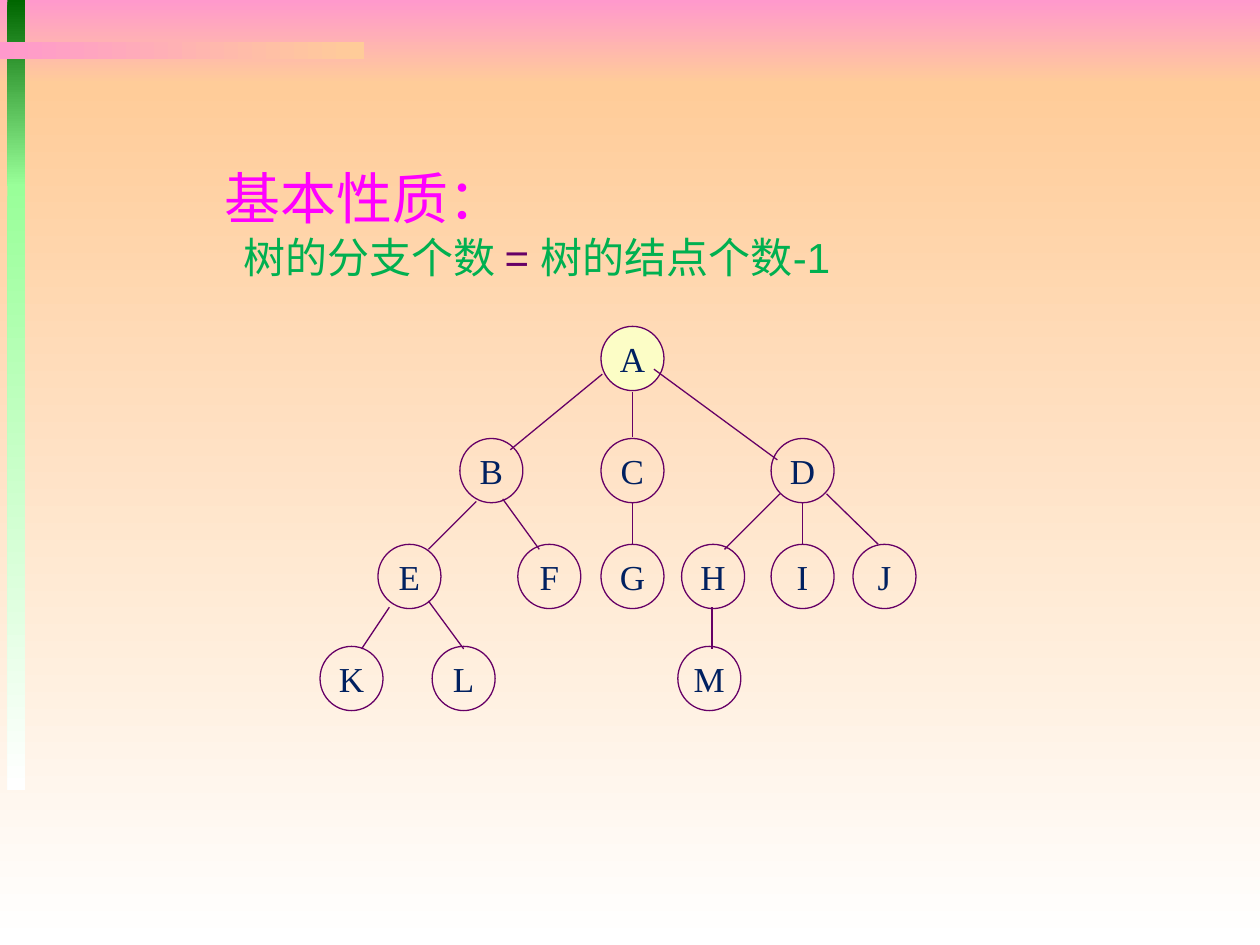
from lxml import etree
from pptx import Presentation
from pptx.dml.color import RGBColor
from pptx.enum.shapes import MSO_CONNECTOR as CONN, MSO_SHAPE as SHAPE
from pptx.enum.text import MSO_ANCHOR as ANCHOR, MSO_AUTO_SIZE as AUTO, PP_ALIGN as ALIGN
from pptx.oxml.ns import qn
from pptx.util import Inches, Pt

COLORS = {
    "pink": "FF99CC", "peach": "FFCC99", "white": "FFFFFF",
    "dark_green": "006600", "light_green": "99FF99",
    "magenta": "FF00FF", "green": "00B050", "purple": "660066",
    "navy": "002060", "root": "FCFDC6",
}
RIGHT, DOWN = 0, 270  # gradient directions, counter-clockwise degrees

BANDS = [  # left, top, width, height, first colour, last colour, direction
    (0, 0, 10, 0.67, "pink", "peach", DOWN),
    (0, 0.67, 10, 6.83, "peach", "white", DOWN),
    (0.06, 0, 0.14, 1.48, "dark_green", "light_green", DOWN),
    (0.06, 1.46, 0.14, 4.81, "light_green", "white", DOWN),
    (0, 0.33, 2.89, 0.14, "pink", "peach", RIGHT),
]

NODE_W, NODE_H = 0.5, 0.51
LEVELS = [  # top of the level, left of each node
    (2.59, {"A": 4.77}),
    (3.48, {"B": 3.65, "C": 4.77, "D": 6.12}),
    (4.32, {"E": 3, "F": 4.11, "G": 4.77, "H": 5.41, "I": 6.12, "J": 6.77}),
    (5.13, {"K": 2.54, "L": 3.43, "M": 5.38}),
]
BRANCHES = [  # x1, y1, x2, y2
    (4.78, 2.97, 4.05, 3.57),  # A-B
    (5.02, 3.11, 5.02, 3.47),  # A-C
    (5.19, 2.93, 6.17, 3.65),  # A-D
    (3.78, 3.98, 3.4, 4.36),   # B-E
    (3.99, 3.96, 4.28, 4.36),  # B-F
    (5.02, 3.99, 5.02, 4.32),  # C-G
    (6.19, 3.92, 5.75, 4.36),  # D-H
    (6.37, 3.99, 6.37, 4.32),  # D-I
    (6.56, 3.92, 6.97, 4.32),  # D-J
    (3.09, 4.82, 2.87, 5.15),  # E-K
    (3.4, 4.77, 3.68, 5.15),   # E-L
    (5.65, 4.82, 5.65, 5.15),  # H-M
]


def rgb(name):
    return RGBColor.from_string(COLORS[name])


def set_attrs(obj, **values):
    for name, value in values.items():
        setattr(obj, name, value)


def set_line(sp):
    sp.line.color.rgb = rgb("purple")
    sp.line.width = Pt(0.75)


def add_run(p, text, size, color, font="Arial"):
    r = p.add_run()
    r.text = text
    set_attrs(r.font, name=font, size=Pt(size), bold=False)
    r.font.color.rgb = rgb(color)


def add_band(slide, left, top, width, height, first, last, direction):
    sp = slide.shapes.add_shape(SHAPE.RECTANGLE, *map(Inches, (left, top, width, height)))
    sp.shadow.inherit = False
    sp.line.fill.background()
    sp.fill.gradient()
    sp.fill.gradient_angle = direction
    for stop, color in zip(sp.fill.gradient_stops, (first, last)):
        stop.color.rgb = rgb(color)


def fill_title(slide):
    sp = slide.shapes.title
    sp.element.getparent().append(sp.element)  # in front of the bands
    set_attrs(sp, left=Inches(1.68), top=Inches(1.25), width=Inches(5.59), height=Inches(1.04))
    tf = sp.text_frame
    set_attrs(tf, word_wrap=True, auto_size=AUTO.SHAPE_TO_FIT_TEXT, vertical_anchor=ANCHOR.TOP)
    heading, rule = tf.paragraphs[0], tf.add_paragraph()
    for p in (heading, rule):
        set_attrs(p, alignment=ALIGN.LEFT, space_before=Pt(0))
    add_run(heading, "基本性质：", 32, "magenta")
    rule._p.get_or_add_pPr().set("marL", str(Inches(0.15)))
    for text, color in (("树的分支个数 ", "green"), ("= ", "purple"), ("树的结点个数-1", "green")):
        add_run(rule, text, 24, color)


def add_node(slide, letter, left, top):
    sp = slide.shapes.add_shape(SHAPE.OVAL, *map(Inches, (left, top, NODE_W, NODE_H)))
    sp.shadow.inherit = False
    set_line(sp)
    if letter == "A":
        sp.fill.solid()
        sp.fill.fore_color.rgb = rgb("root")
    else:
        sp.fill.background()
    tf = sp.text_frame
    set_attrs(tf, word_wrap=False, vertical_anchor=ANCHOR.MIDDLE)
    p = tf.paragraphs[0]
    p.alignment = ALIGN.CENTER
    add_run(p, letter, 20, "navy", "Times New Roman")


def add_branch(slide, *ends):
    line = slide.shapes.add_connector(CONN.STRAIGHT, *map(Inches, ends))
    set_line(line)
    etree.SubElement(line.element.spPr, qn("a:effectLst"))


def main():
    prs = Presentation()
    set_attrs(prs, slide_width=Inches(10), slide_height=Inches(7.5))
    slide = prs.slides.add_slide(prs.slide_layouts.get_by_name("Title Only"))
    for band in BANDS:
        add_band(slide, *band)
    fill_title(slide)
    for top, nodes in LEVELS:
        for letter, left in nodes.items():
            add_node(slide, letter, left, top)
    for branch in BRANCHES:
        add_branch(slide, *branch)
    prs.save("out.pptx")


if __name__ == "__main__":
    main()
